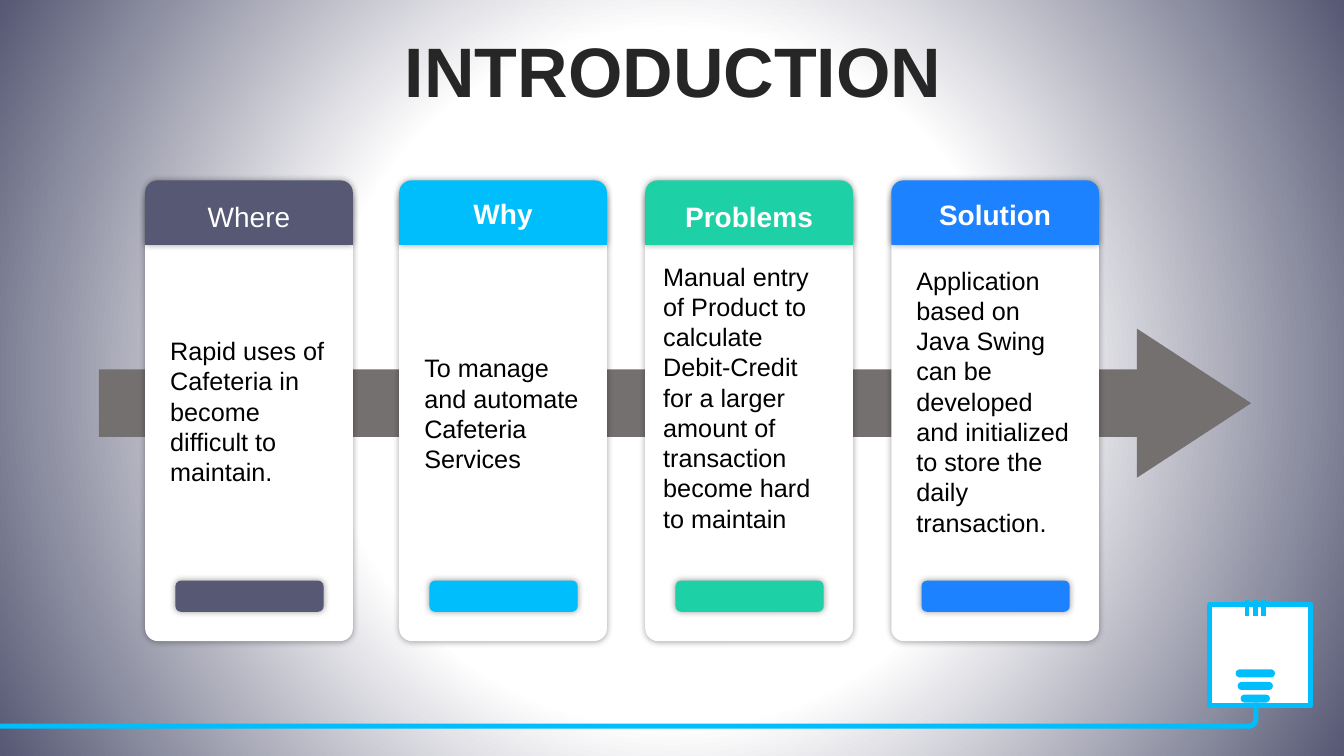
from math import cos, radians, sin

from pptx import Presentation
from pptx.dml.color import RGBColor
from pptx.enum.shapes import MSO_CONNECTOR, MSO_SHAPE
from pptx.enum.text import MSO_ANCHOR, MSO_AUTO_SIZE, PP_ALIGN
from pptx.oxml import parse_xml
from pptx.oxml.ns import nsdecls
from pptx.util import Inches, Pt

FONT = "Arial"
WHITE, BLACK, CYAN = "FFFFFF", "000000", "00BDFB"

# heading, bold, colour, left, heading top, body inset, body top, body
CARDS = [
    ("Where", False, "565874", 1.44, 1.93, 0.15, 3.28,
     "Rapid uses of Cafeteria in become difficult to maintain."),
    ("Why", True, CYAN, 3.96, 1.9, 0.15, 3.45,
     "To manage and automate Cafeteria Services"),
    ("Problems", True, "1ED0A6", 6.4, 1.93, 0.08, 2.54,
     "Manual entry of Product to calculate Debit-Credit for a larger "
     "amount of transaction become hard to maintain"),
    ("Solution", True, "1C82FF", 8.84, 1.91, 0.15, 2.58,
     "Application based on Java Swing can be developed and initialized "
     "to store the daily transaction."),
]


def rgb(value):
    return RGBColor.from_string(value)


def add_effects(shape, content=""):
    shape._element.spPr.append(parse_xml(
        f'<a:effectLst {nsdecls("a")}>{content}</a:effectLst>'))


def add_block(slide, kind, box, color, adjustments=(), shadow=False):
    block = slide.shapes.add_shape(kind, *map(Inches, box))
    for index, value in enumerate(adjustments):
        block.adjustments[index] = value
    block.fill.solid()
    block.fill.fore_color.rgb = rgb(color)
    block.line.fill.background()
    if shadow:
        add_effects(block, '<a:outerShdw blurRad="63500" algn="ctr" rotWithShape="0">'
                           '<a:srgbClr val="000000"><a:alpha val="40000"/></a:srgbClr>'
                           '</a:outerShdw>')
    else:
        block.shadow.inherit = False
    return block


def add_text(slide, box, text, size, color, bold=False, align=PP_ALIGN.LEFT):
    frame = slide.shapes.add_textbox(*map(Inches, box)).text_frame
    frame.word_wrap = True
    frame.auto_size = MSO_AUTO_SIZE.SHAPE_TO_FIT_TEXT
    frame.text = text
    style_paragraph(frame.paragraphs[0], size, color, bold, align)


def style_paragraph(paragraph, size, color, bold, align):
    paragraph.alignment = align
    paragraph.font.name = FONT
    paragraph.font.size = Pt(size)
    paragraph.font.bold = bold
    paragraph.font.color.rgb = rgb(color)


def add_outline(slide, points, width, fill=None):
    """Stroke a path in cyan; it is closed when it has a fill."""
    builder = slide.shapes.build_freeform(*points[0], scale=Inches(1))
    builder.add_line_segments(points[1:], close=fill is not None)
    outline = builder.convert_to_shape()
    if fill:
        outline.fill.solid()
        outline.fill.fore_color.rgb = rgb(fill)
    else:
        outline.fill.background()
    outline.line.color.rgb = rgb(CYAN)
    outline.line.width = Pt(width)
    outline.shadow.inherit = False


def set_background(slide):
    slide.background.fill.solid()
    properties = slide.background._cSld.bg.bgPr
    properties.replace(properties[0], parse_xml(
        f'<a:gradFill {nsdecls("a")} rotWithShape="1"><a:gsLst>'
        '<a:gs pos="0"><a:srgbClr val="FFFFFF"><a:alpha val="18000"/></a:srgbClr></a:gs>'
        '<a:gs pos="45000"><a:srgbClr val="FFFFFF"/></a:gs>'
        '<a:gs pos="100000"><a:srgbClr val="565874"/></a:gs></a:gsLst>'
        '<a:path path="circle"><a:fillToRect l="50000" t="50000" r="50000" b="50000"/>'
        '</a:path></a:gradFill>'))


def set_title(slide, box, text):
    title = slide.shapes.title
    title.left, title.top, title.width, title.height = map(Inches, box)
    frame = title.text_frame
    frame.text = text
    frame.auto_size = MSO_AUTO_SIZE.NONE
    frame.vertical_anchor = MSO_ANCHOR.MIDDLE
    frame.paragraphs[0].line_spacing = 0.8
    style_paragraph(frame.paragraphs[0], 50, "262626", True, PP_ALIGN.CENTER)


def add_bulb(slide, left, top):
    """Light bulb whose glass touches the given left and top, with its cable."""
    radius = 0.45
    middle, center_y = left + radius, top + radius

    # Glass
    glass = [(middle + radius * cos(radians(a)), center_y + radius * sin(radians(a)))
             for a in range(135, 406, 5)]
    neck = [(0.21, 0.87), (0.21, 0.99), (0.18, 1.05), (0.12, 1.07)]
    glass += [(middle + x, top + y) for x, y in neck]
    glass += [(middle - x, top + y) for x, y in reversed(neck)]
    add_outline(slide, glass, 3.5, WHITE)

    # Filament
    filament = [(-0.11, 1.06), (-0.16, 0.53), (0.16, 0.53), (0.11, 1.06)]
    add_outline(slide, [(middle + x, top + y) for x, y in filament], 3.25)
    for offset in (-0.08, 0, 0.08):
        coil = slide.shapes.add_connector(
            MSO_CONNECTOR.STRAIGHT, Inches(middle + offset), Inches(top + 0.45),
            Inches(middle + offset), Inches(top + 0.61))
        coil.line.color.rgb = rgb(CYAN)
        coil.line.width = Pt(3.25)
        add_effects(coil)

    # Screw base
    for row, width in enumerate((0.39, 0.35, 0.29)):
        add_block(slide, MSO_SHAPE.ROUNDED_RECTANGLE,
                  (middle - width / 2, top + 1.14 + row * 0.125, width, 0.08),
                  CYAN, [0.5])

    # Cable
    add_block(slide, MSO_SHAPE.RECTANGLE, (0, top + 1.68, middle - 0.07, 0.05), CYAN)
    add_block(slide, MSO_SHAPE.RECTANGLE, (middle - 0.02, top + 1.47, 0.05, 0.17), CYAN)
    add_block(slide, MSO_SHAPE.BLOCK_ARC, (middle - 0.16, top + 1.54, 0.19, 0.19),
              CYAN, [213.394, 60.915, 0.271])


def add_card(slide, box, card):
    left, top, width, height = box
    heading, bold, color, _, heading_top, body_inset, body_top, body = card
    add_block(slide, MSO_SHAPE.ROUNDED_RECTANGLE,
              (left, top + 0.08, width, height - 0.08), WHITE, [0.061], True)
    add_block(slide, MSO_SHAPE.ROUND_2_SAME_RECTANGLE,
              (left, top, width, 0.64), color, [0.19, 0], True)
    add_block(slide, MSO_SHAPE.ROUNDED_RECTANGLE,
              (left + 0.3, top + height - 0.6, 1.47, 0.31), color, [0.178], True)
    add_text(slide, (left, heading_top, width, 0.44), heading, 20, WHITE, bold,
             PP_ALIGN.CENTER)
    add_text(slide, (left + body_inset, body_top, 1.77, 1.5), body, 18, BLACK)


def main():
    deck = Presentation()
    deck.slide_width, deck.slide_height = Inches(13.33), Inches(7.5)
    slide = deck.slides.add_slide(deck.slide_layouts[5])
    set_background(slide)
    set_title(slide, (0.35, 0.37, 12.66, 0.79), "INTRODUCTION")
    add_bulb(slide, 12, 5.5)
    add_block(slide, MSO_SHAPE.RIGHT_ARROW, (0.98, 3.26, 11.43, 1.48), "757070",
              [0.453, 0.766])
    for card in CARDS:
        add_card(slide, (card[3], 1.79, 2.06, 4.57), card)
    deck.save("out.pptx")


if __name__ == "__main__":
    main()
